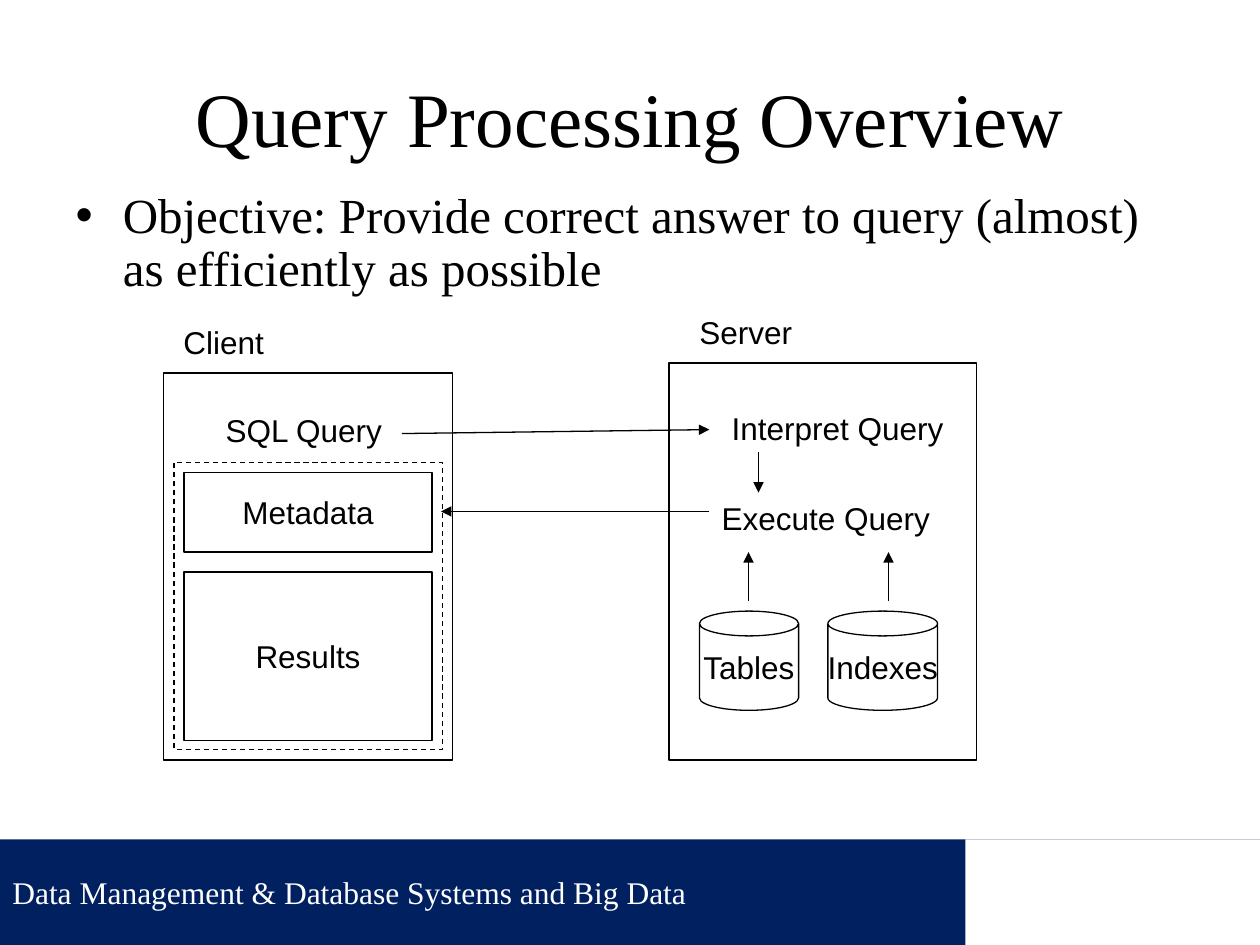
from lxml import etree
from pptx import Presentation
from pptx.dml.color import RGBColor
from pptx.enum import dml, shapes, text
from pptx.oxml.ns import qn
from pptx.util import Cm, Pt

BLACK = RGBColor(0x00, 0x00, 0x00)
WHITE = RGBColor(0xFF, 0xFF, 0xFF)
NAVY = RGBColor(0x00, 0x20, 0x60)
SERIF, SANS = "Times New Roman", "Arial"
RECT, CAN = shapes.MSO_SHAPE.RECTANGLE, shapes.MSO_SHAPE.CAN
LEFT, CENTER = text.PP_ALIGN.LEFT, text.PP_ALIGN.CENTER


def write(sp, words, size, font, color, align):
    p = sp.text_frame.paragraphs[0]
    p.text = words
    p.alignment = align
    p.font.size, p.font.name = Pt(size), font
    p.font.color.rgb = color
    return p


def add_box(kind, left, top, width, height, fill=WHITE, line=BLACK):
    sp = s.shapes.add_shape(kind, Cm(left), Cm(top), Cm(width), Cm(height))
    sp.shadow.inherit = False
    sp.fill.solid()
    sp.fill.fore_color.rgb = fill
    if line is None:
        sp.line.fill.background()
    else:
        sp.line.color.rgb = line
        sp.line.width = Pt(0.75)
    return sp


prs = Presentation()
prs.slide_width, prs.slide_height = Cm(25.4), Cm(19.05)
s = prs.slides.add_slide(prs.slide_layouts[1])

# Title and objective
title, body = s.placeholders
title.left, title.top, title.width, title.height = Cm(1.27), Cm(0.76), Cm(22.86), Cm(3.18)
body.left, body.top, body.width, body.height = Cm(1.27), Cm(3.73), Cm(22.86), Cm(2.59)
for sp in (title, body):
    sp.text_frame.auto_size = text.MSO_AUTO_SIZE.NONE
title.text_frame.vertical_anchor = text.MSO_ANCHOR.MIDDLE
write(title, "Query Processing Overview", 44, SERIF, BLACK, CENTER)
p = write(body, "Objective: Provide correct answer to query (almost) as efficiently as possible",
          28, SERIF, BLACK, LEFT)
p.line_spacing = 0.9
p.space_before = Pt(0)

# Footer band
footer = add_box(RECT, 0, 16.92, 25.4, 2.13, fill=NAVY, line=None)
footer.text_frame.vertical_anchor = text.MSO_ANCHOR.MIDDLE
write(footer, "Data Management & Database Systems and Big Data", 18, SERIF, WHITE, LEFT)
add_box(RECT, 19.46, 16.92, 5.94, 2.13, line=None)

# Client and server frames, with the returned data in a dashed frame
add_box(RECT, 3.3, 7.52, 5.82, 7.8)
add_box(RECT, 13.49, 7.32, 6.2, 8)
returned = add_box(RECT, 3.51, 9.32, 5.41, 5.79)
returned.line.dash_style = dml.MSO_LINE.DASH

# Named boxes and stores
for words, kind, left, top, width, height in (
    ("Metadata", RECT, 3.71, 9.53, 5, 1.6),
    ("Results", RECT, 3.71, 11.53, 5, 3.4),
    ("Tables", CAN, 14.1, 12.32, 2, 2),
    ("Indexes", CAN, 16.69, 12.32, 2.21, 2),
):
    sp = add_box(kind, left, top, width, height)
    sp.text_frame.word_wrap = False
    sp.text_frame.vertical_anchor = text.MSO_ANCHOR.MIDDLE
    write(sp, words, 18, SANS, BLACK, CENTER)

# Labels, each a little wider than its words
for words, left, top, width in (
    ("Client", 3.45, 6.38, 2.25),
    ("Server", 13.85, 6.18, 2.5),
    ("SQL Query", 4.3, 8.16, 3.8),
    ("Interpret Query", 14.5, 8.13, 4.9),
    ("Execute Query", 14.3, 9.93, 4.8),
):
    sp = s.shapes.add_textbox(Cm(left), Cm(top), Cm(width), Cm(1.02))
    sp.text_frame.word_wrap = False
    sp.text_frame.auto_size = text.MSO_AUTO_SIZE.SHAPE_TO_FIT_TEXT
    write(sp, words, 18, SANS, BLACK, LEFT)

# Arrows between the steps
for x1, y1, x2, y2 in (
    (8.1, 8.74, 14.3, 8.66),
    (15.29, 9.12, 15.29, 9.93),
    (14.3, 10.31, 8.89, 10.31),
    (15.09, 12.12, 15.09, 11.13),
    (17.91, 12.12, 17.91, 11.13),
):
    arrow = s.shapes.add_connector(shapes.MSO_CONNECTOR.STRAIGHT, Cm(x1), Cm(y1), Cm(x2), Cm(y2))
    arrow.line.color.rgb = BLACK
    arrow.line.width = Pt(0.75)
    etree.SubElement(arrow.line._get_or_add_ln(), qn("a:tailEnd"), type="triangle")
    etree.SubElement(arrow._element.spPr, qn("a:effectLst"))

prs.save("out.pptx")
